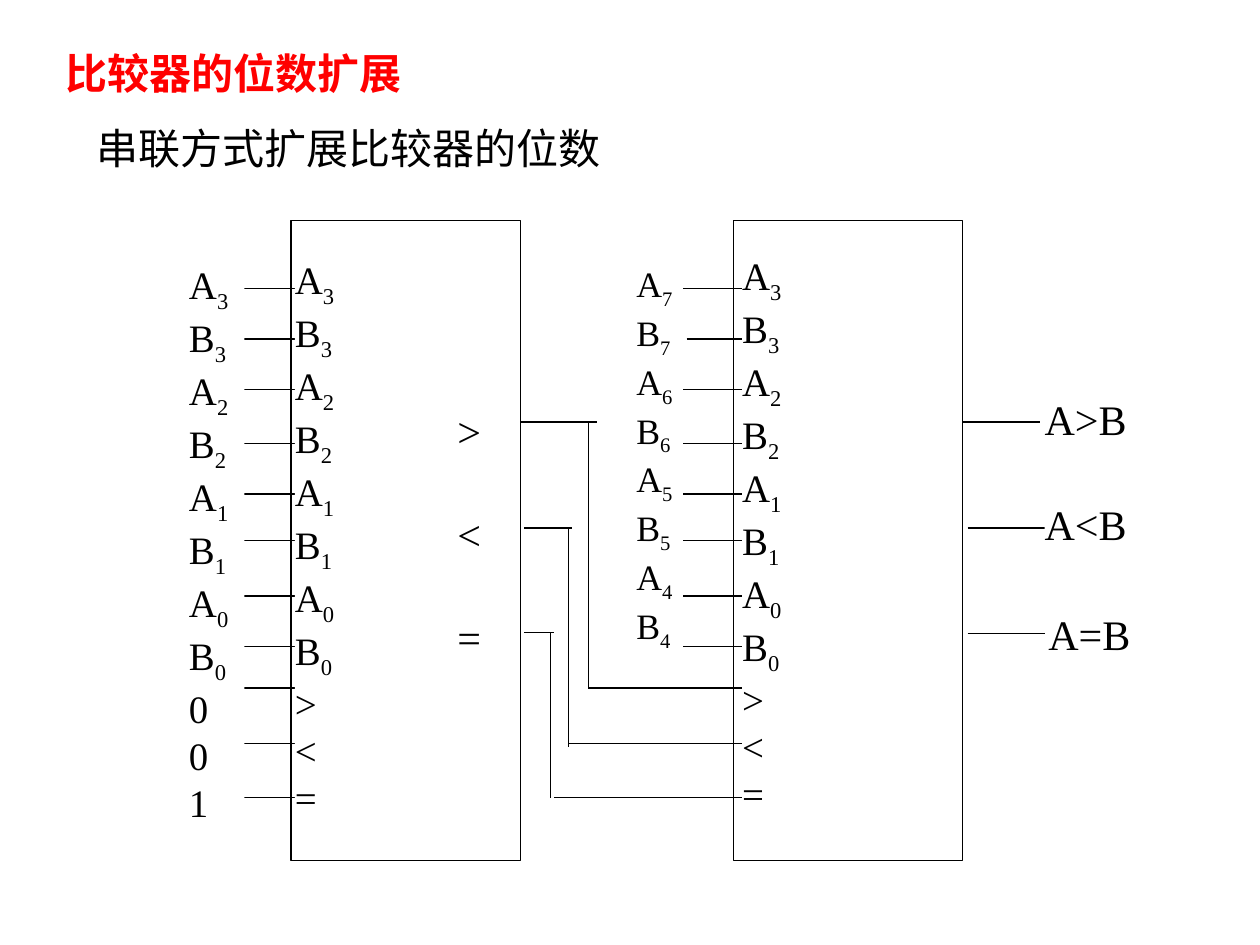
from typing import NamedTuple

from lxml.etree import SubElement
from pptx import Presentation
from pptx.dml.color import RGBColor
from pptx.enum.shapes import MSO_CONNECTOR, MSO_SHAPE
from pptx.enum.text import PP_ALIGN
from pptx.oxml.ns import qn
from pptx.slide import Slide
from pptx.util import Inches, Pt

FONT_NAME = "Times New Roman"
BLACK, WHITE, RED = "000000", "FFFFFF", "FF0000"
STAGE_OFFSET = 3.51
LINE_WIDTH = Pt(0.75)


class Label(NamedTuple):
    left: float
    top: float
    width: float
    height: float
    lines: list[str]
    size: float = 24
    inset_x: float = 0
    inset_y: float = 0
    gap: float = 0
    color: str = BLACK
    fill: str | None = WHITE
    bold: bool = False
    align: PP_ALIGN = PP_ALIGN.JUSTIFY


class Wire(NamedTuple):
    start_x: float
    start_y: float
    end_x: float
    end_y: float


class Pin(NamedTuple):
    left: float
    y: float


def rgb(value: str) -> RGBColor:
    return RGBColor.from_string(value)


def add_comparator(slide: Slide, left: float) -> None:
    shape = slide.shapes.add_shape(
        MSO_SHAPE.RECTANGLE, Inches(left), Inches(1.75), Inches(1.82), Inches(5.08))
    shape.shadow.inherit = False
    shape.fill.solid()
    shape.fill.fore_color.rgb = rgb(WHITE)
    shape.line.color.rgb = rgb(BLACK)
    shape.line.width = LINE_WIDTH


def add_wire(slide: Slide, wire: Wire) -> None:
    connector = slide.shapes.add_connector(
        MSO_CONNECTOR.STRAIGHT, *(Inches(value) for value in wire))
    connector.line.color.rgb = rgb(BLACK)
    connector.line.width = LINE_WIDTH
    SubElement(connector._element.spPr, qn("a:effectLst"))


def add_label(slide: Slide, label: Label) -> None:
    """Write one paragraph per line; digits after a letter become a subscript."""
    shape = slide.shapes.add_textbox(
        Inches(label.left), Inches(label.top), Inches(label.width), Inches(label.height))
    if label.fill:
        shape.fill.solid()
        shape.fill.fore_color.rgb = rgb(label.fill)
    frame = shape.text_frame
    frame.word_wrap = True
    frame.margin_left = frame.margin_right = Inches(label.inset_x)
    frame.margin_top = frame.margin_bottom = Inches(label.inset_y)
    for index, line in enumerate(label.lines):
        paragraph = frame.paragraphs[0] if index == 0 else frame.add_paragraph()
        paragraph.alignment = label.align
        if index and label.gap:
            paragraph.space_before = Pt(label.gap)
        has_subscript = line[1:].isdigit()
        for position, text in enumerate((line[0], line[1:]) if has_subscript else (line,)):
            run = paragraph.add_run()
            run.text = text
            run.font.name = FONT_NAME
            run.font.size = Pt(label.size)
            run.font.bold = label.bold
            run.font.color.rgb = rgb(label.color)
            if position:
                run._r.get_or_add_rPr().set("baseline", "-25000")


def bit_names(high: int, low: int) -> list[str]:
    return [f"{operand}{bit}" for bit in range(high, low - 1, -1) for operand in "AB"]


DATA_PINS = [Pin(1.87, 2.29), Pin(1.94, 2.69), Pin(1.91, 3.09), Pin(1.91, 3.52),
             Pin(1.91, 3.92), Pin(1.87, 4.29), Pin(1.87, 4.73), Pin(1.91, 5.13)]
CASCADE_PINS = [Pin(1.91, 5.46), Pin(1.91, 5.9), Pin(1.91, 6.33)]
PIN_LENGTH = 0.61

CASCADE_WIRES = [
    Wire(4.13, 3.35, 4.74, 3.35), Wire(4.67, 3.35, 4.67, 5.46), Wire(4.67, 5.46, 6.03, 5.46),
    Wire(4.16, 4.19, 4.54, 4.19), Wire(4.51, 4.19, 4.51, 5.93), Wire(4.51, 5.9, 6.09, 5.9),
    Wire(4.16, 5.02, 4.4, 5.02), Wire(4.37, 5.02, 4.37, 6.33), Wire(4.4, 6.33, 6.03, 6.33),
]
OUTPUT_WIRES = [Wire(7.64, 3.35, 8.25, 3.35), Wire(7.68, 4.19, 8.29, 4.19),
                Wire(7.68, 5.03, 8.29, 5.03)]

RELATIONS = [">", "<", "="]
COMPARATOR_INPUTS = bit_names(3, 0) + RELATIONS

LABELS = [
    Label(0.42, 0.33, 5.17, 0.5, ["比较器的位数扩展"], inset_x=0.1, inset_y=0.05,
          color=RED, fill=None, bold=True),
    Label(0.67, 0.92, 5, 0.5, ["串联方式扩展比较器的位数"], inset_x=0.1, inset_y=0.05,
          fill=None, align=PP_ALIGN.LEFT),
    Label(1.5, 2.02, 0.44, 4.68, bit_names(3, 0) + ["0", "0", "1"], size=22.2, inset_y=0.05),
    Label(2.34, 1.98, 0.41, 4.68, COMPARATOR_INPUTS, size=22.2, inset_y=0.05),
    Label(3.63, 3.22, 0.37, 2.01, RELATIONS, gap=30),
    Label(5.05, 2.08, 0.37, 3.24, bit_names(7, 4), size=20.4),
    Label(5.89, 1.95, 0.44, 4.68, COMPARATOR_INPUTS, size=22.2, inset_y=0.05),
    Label(8.29, 3.12, 0.84, 0.4, ["A>B"]),
    Label(8.29, 3.96, 0.84, 0.4, ["A<B"]),
    Label(8.32, 4.83, 0.84, 0.4, ["A=B"]),
]


def main() -> None:
    presentation = Presentation()
    presentation.slide_width = Inches(10)
    presentation.slide_height = Inches(7.5)
    slide = presentation.slides.add_slide(presentation.slide_layouts[6])

    for left in (2.31, 2.31 + STAGE_OFFSET):
        add_comparator(slide, left)
    for offset, pins in ((0, DATA_PINS + CASCADE_PINS), (STAGE_OFFSET, DATA_PINS)):
        for pin in pins:
            start = pin.left + offset
            add_wire(slide, Wire(start, pin.y, start + PIN_LENGTH, pin.y))
    for wire in CASCADE_WIRES + OUTPUT_WIRES:
        add_wire(slide, wire)
    for label in LABELS:
        add_label(slide, label)

    presentation.save("out.pptx")


if __name__ == "__main__":
    main()
